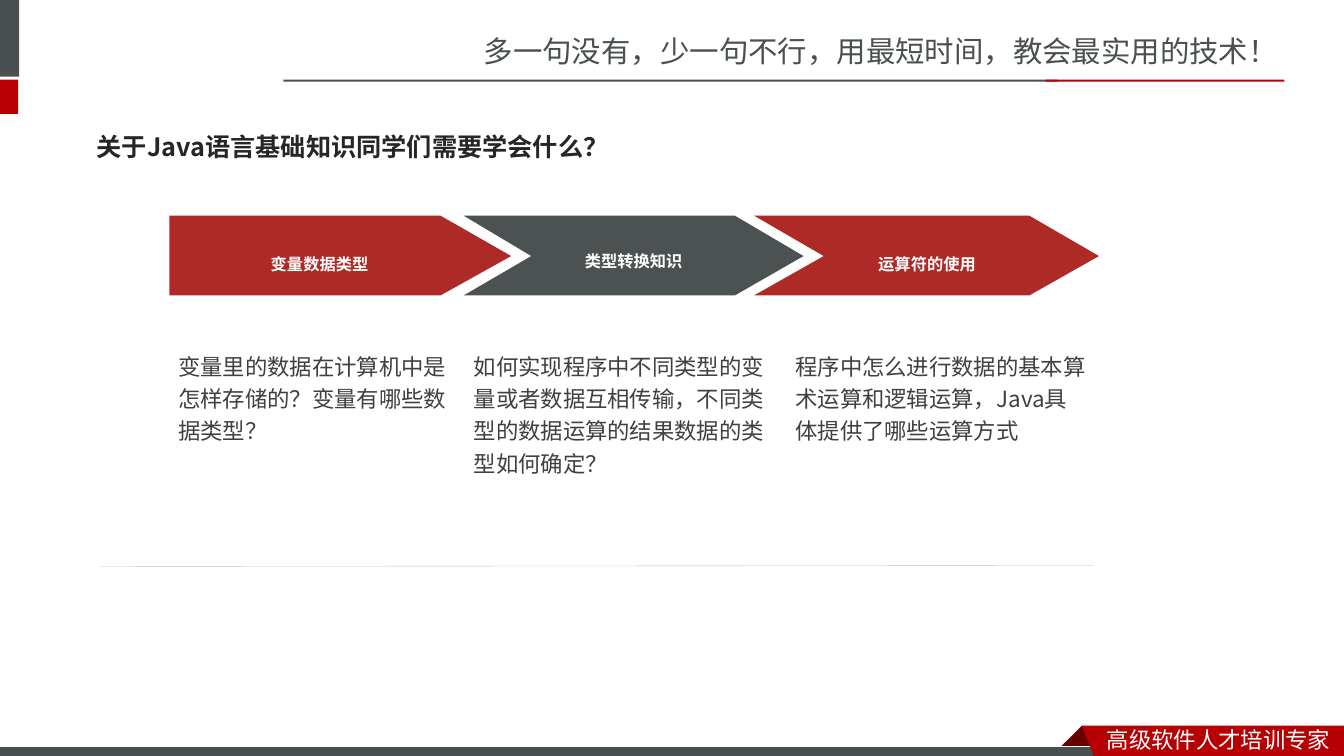
from lxml import etree
from pptx import Presentation
from pptx.dml.color import RGBColor
from pptx.enum.shapes import MSO_CONNECTOR, MSO_SHAPE
from pptx.enum.text import MSO_ANCHOR, MSO_AUTO_SIZE, PP_ALIGN
from pptx.oxml.ns import qn
from pptx.util import Inches, Pt

COLORS = {"slate": "49504F", "red": "B60004", "fold": "680000", "brick": "AD2A26",
          "gray": "4C5252", "title": "262626", "body": "404040", "rule": "BFBFBF",
          "white": "FFFFFF"}
SC, JP = "Noto Sans CJK SC", "Noto Sans CJK JP"

# Content
TITLE = "关于Java语言基础知识同学们需要学会什么？"
SLOGAN = "多一句没有，少一句不行，用最短时间，教会最实用的技术！"
FOOTER = "高级软件人才培训专家"

# Bars of the frame: box, colour
BARS = [
    ((0, 0, 0.19, 0.76), "slate"),
    ((0, 0.79, 0.18, 0.34), "red"),
    ((2.81, 0.79, 7.68, 0.02), "slate"),
    ((10.37, 0.79, 2.37, 0.02), "red"),
]
FOLD = [(10.73, 7.2), (10.95, 7.42), (10.94, 7.43), (10.52, 7.43), (10.51, 7.42)]
RIBBON = [(10.73, 7.2), (13.33, 7.2), (13.33, 7.54), (10.86, 7.53)]

# Steps: left, shoulder and tip of the arrow, notch or None, colour, label,
# label box (left, width) or None for a label inside the arrow,
# body box (left, width, height), body
STEPS = [
    (1.68, 4.37, 5.07, None, "brick", "变量数据类型", (1.86, 2.62),
     (1.67, 3, 1.07), "变量里的数据在计算机中是怎样存储的？变量有哪些数据类型？"),
    (4.6, 7.29, 7.97, 5.27, "gray", "类型转换知识", None,
     (4.6, 3.11, 1.39),
     "如何实现程序中不同类型的变量或者数据互相传输，不同类型的数据运算的结果数据的类型如何确定？"),
    (7.48, 10.21, 10.9, 8.17, "brick", "运算符的使用", (8.19, 2.01),
     (7.79, 3.11, 1.07), "程序中怎么进行数据的基本算术运算和逻辑运算，Java具体提供了哪些运算方式"),
]
ARROW_TOP, ARROW_MID, ARROW_BOTTOM = 2.14, 2.54, 2.93
LABEL_TOP, LABEL_H, BODY_TOP = 2.35, 0.36, 3.4


def rgb(name):
    return RGBColor.from_string(COLORS[name])


def paint(s, color):
    s.shadow.inherit = False
    s.fill.solid()
    s.fill.fore_color.rgb = rgb(color)
    s.line.fill.background()


def add_bar(shapes, box, color):
    s = shapes.add_shape(MSO_SHAPE.RECTANGLE, *map(Inches, box))
    paint(s, color)
    return s


def add_outline(shapes, points, color):
    points = [(Inches(x), Inches(y)) for x, y in points]
    builder = shapes.build_freeform(*points[0])
    builder.add_line_segments(points[1:], close=True)
    s = builder.convert_to_shape()
    paint(s, color)
    return s


def write(s, text, size, font, color, bold=False, align=PP_ALIGN.LEFT,
          spacing=None, anchor=MSO_ANCHOR.TOP, baseline=None):
    tf = s.text_frame
    tf.text = text
    tf.word_wrap = True
    tf.vertical_anchor = anchor
    p = tf.paragraphs[0]
    p.alignment = align
    p.line_spacing = spacing
    r = p.runs[0]
    r.font.size, r.font.bold, r.font.name = Pt(size), bold, font
    r.font.color.rgb = rgb(color)
    rPr = r.font._element
    etree.SubElement(rPr, qn("a:ea")).set("typeface", font)
    if baseline:
        rPr.set("baseline", str(baseline))


def add_text(shapes, box, *args, **kwargs):
    s = shapes.add_textbox(*map(Inches, box))
    write(s, *args, **kwargs)
    s.text_frame.auto_size = MSO_AUTO_SIZE.SHAPE_TO_FIT_TEXT


prs = Presentation()
prs.slide_width, prs.slide_height = Inches(13.33), Inches(7.5)
slide = prs.slides.add_slide(prs.slide_layouts[5])
shapes = slide.shapes

# Title
title = shapes.title
title.left, title.top, title.width, title.height = map(Inches, (0.86, 1.17, 5.52, 0.57))
write(title, TITLE, 18, JP, "title", bold=True, anchor=MSO_ANCHOR.MIDDLE)
title.text_frame.auto_size = MSO_AUTO_SIZE.NONE

# Header
add_text(shapes, (4.7, 0.28, 8.63, 0.45), SLOGAN, 21, SC, "slate")
for box, color in BARS:
    add_bar(shapes, box, color)

# Footer ribbon
add_outline(shapes, FOLD, "fold")
base = add_bar(shapes, (-0.01, 7.41, 11, 0.12), "slate")
base.line.color.rgb = rgb("white")
base.line.width = Pt(0.75)
add_outline(shapes, RIBBON, "red")
add_text(shapes, (10.88, 7.15, 2.45, 0.37), FOOTER, 16, SC, "white")

# Arrows, labels and explanations
label_style = dict(bold=True, align=PP_ALIGN.CENTER, anchor=MSO_ANCHOR.MIDDLE, baseline=-3000)
for left, shoulder, tip, notch, color, label, label_box, body_box, body in STEPS:
    points = [(left, ARROW_TOP), (shoulder, ARROW_TOP), (tip, ARROW_MID),
              (shoulder, ARROW_BOTTOM), (left, ARROW_BOTTOM)]
    if notch:
        points.append((notch, ARROW_MID))
    arrow = add_outline(shapes, points, color)
    if label_box:
        x, w = label_box
        add_text(shapes, (x, LABEL_TOP, w, LABEL_H), label, 20, JP, "white",
                 spacing=1.2, **label_style)
    else:
        write(arrow, label, 20, JP, "white", **label_style)
    x, w, h = body_box
    add_text(shapes, (x, BODY_TOP, w, h), body, 16, JP, "body", spacing=1.2)

# Closing rule
rule = shapes.add_connector(MSO_CONNECTOR.STRAIGHT, *map(Inches, (0.99, 5.62, 10.85, 5.61)))
rule.line.color.rgb = rgb("rule")
rule.line.width = Pt(0.25)
etree.SubElement(rule._element.spPr, qn("a:effectLst"))

prs.save("out.pptx")
